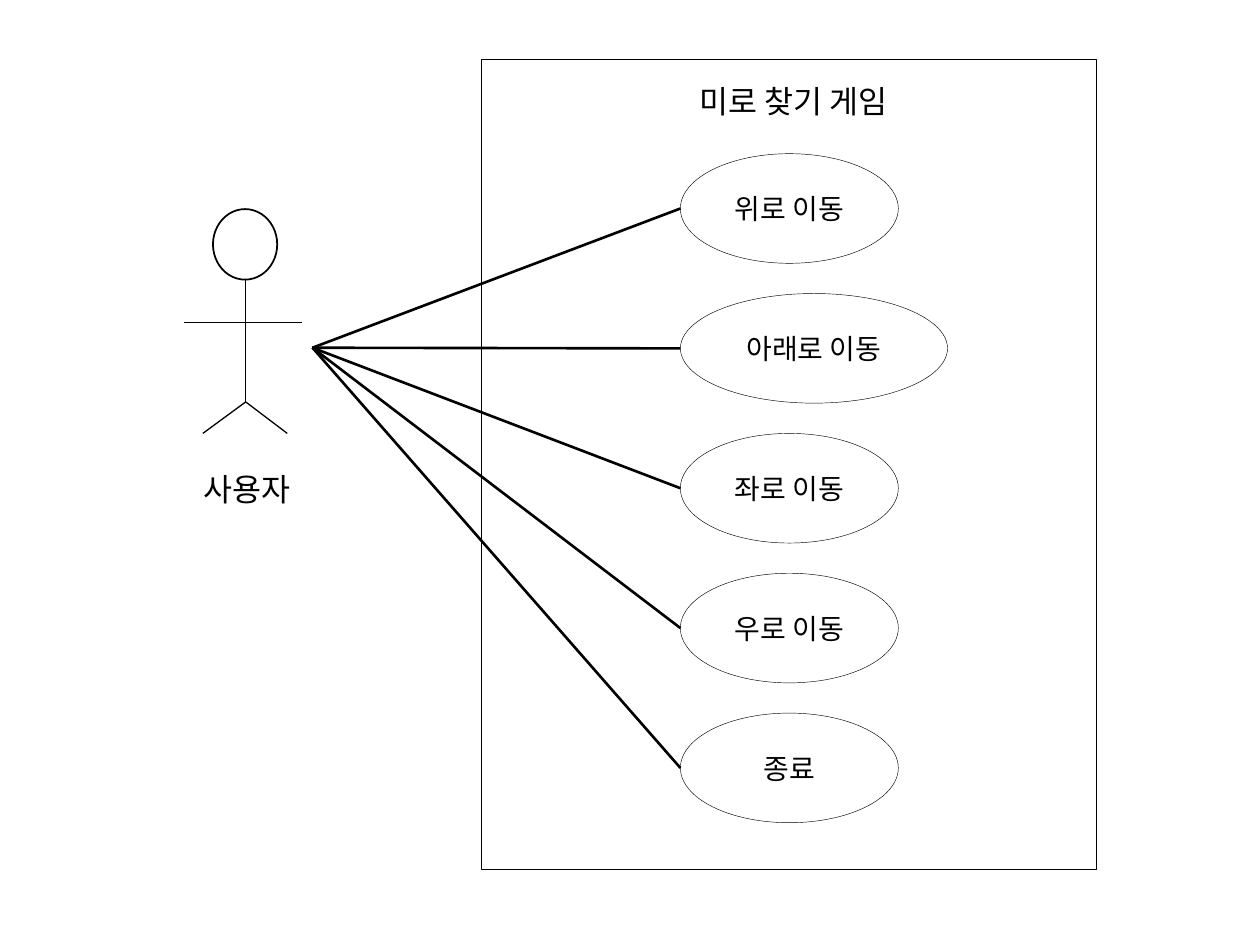
from dataclasses import dataclass
from lxml.etree import SubElement
from pptx import Presentation
from pptx.dml.color import RGBColor
from pptx.enum.shapes import MSO_CONNECTOR, MSO_SHAPE
from pptx.enum.text import MSO_ANCHOR, MSO_AUTO_SIZE, PP_ALIGN
from pptx.oxml.ns import qn
from pptx.util import Inches, Pt


@dataclass(frozen=True)
class Theme:
    ink: RGBColor = RGBColor(0, 0, 0)
    paper: RGBColor = RGBColor(255, 255, 255)
    font: str = "Noto Sans CJK KR"
    title: int = 18
    label: int = 16
    hair: float = 0.25
    limb: float = 0.75
    head: float = 1
    link: float = 1.5


class Board:
    def __init__(self, slide, theme):
        self.slide = slide
        self.theme = theme

    def fill_text(self, frame, text, size, form):
        for name, value in form.items():
            setattr(frame, name, value)
        para = frame.paragraphs[0]
        para.alignment = PP_ALIGN.CENTER
        run = para.add_run()
        run.text = text
        for name, value in {"name": self.theme.font, "size": Pt(size)}.items():
            setattr(run.font, name, value)
        run.font.color.rgb = self.theme.ink
        SubElement(run._r.get_or_add_rPr(), qn("a:ea"), typeface=self.theme.font)

    def shape(self, kind, box, width, fill=None, text=None):
        item = self.slide.shapes.add_shape(kind, *map(Inches, box))
        item.shadow.inherit = False
        if fill is None:
            item.fill.background()
        else:
            item.fill.solid()
            item.fill.fore_color.rgb = fill
        item.line.color.rgb = self.theme.ink
        item.line.width = Pt(width)
        if text:
            form = {"word_wrap": True, "vertical_anchor": MSO_ANCHOR.MIDDLE}
            self.fill_text(item.text_frame, text, self.theme.label, form)

    def text(self, box, text):
        item = self.slide.shapes.add_textbox(*map(Inches, box))
        form = {"word_wrap": True, "auto_size": MSO_AUTO_SIZE.SHAPE_TO_FIT_TEXT}
        self.fill_text(item.text_frame, text, self.theme.title, form)

    def line(self, start, end, width):
        item = self.slide.shapes.add_connector(
            MSO_CONNECTOR.STRAIGHT, *map(Inches, (*start, *end)))
        item.line.color.rgb = self.theme.ink
        item.line.width = Pt(width)
        SubElement(item._element.spPr, qn("a:effectLst"))


deck = Presentation()
deck.slide_width, deck.slide_height = Inches(10), Inches(7.5)
theme = Theme()
board = Board(deck.slides.add_slide(deck.slide_layouts[6]), theme)

board.shape(MSO_SHAPE.RECTANGLE, (3.82, 0.47, 4.88, 6.43), theme.hair)
board.text((4.84, 0.6, 2.91, 0.4), "미로 찾기 게임")

left, top, step, high = 5.4, 1.22, 1.11, 0.87
cases = [("위로 이동", 1.73), ("아래로 이동", 2.12), ("좌로 이동", 1.73),
         ("우로 이동", 1.73), ("종료", 1.73)]
rows = [top + step * i for i in range(len(cases))]
for (name, wide), row in zip(cases, rows):
    board.shape(MSO_SHAPE.OVAL, (left, row, wide, high), theme.hair, theme.paper, name)
for row in rows:
    board.line((2.48, 2.76), (left, row + high / 2), theme.link)

neck, hip = (1.95, 2.22), (1.95, 3.19)
board.shape(MSO_SHAPE.OVAL, (1.69, 1.66, 0.51, 0.56), theme.head)
limbs = [(neck, hip), (hip, (1.61, 3.44)), (hip, (2.28, 3.44)),
         ((2.01, 2.56), (1.46, 2.56)), ((2.01, 2.56), (2.4, 2.56))]
for start, end in limbs:
    board.line(start, end, theme.limb)
board.text((1.25, 3.68, 1.42, 0.4), "사용자")

deck.save("out.pptx")
